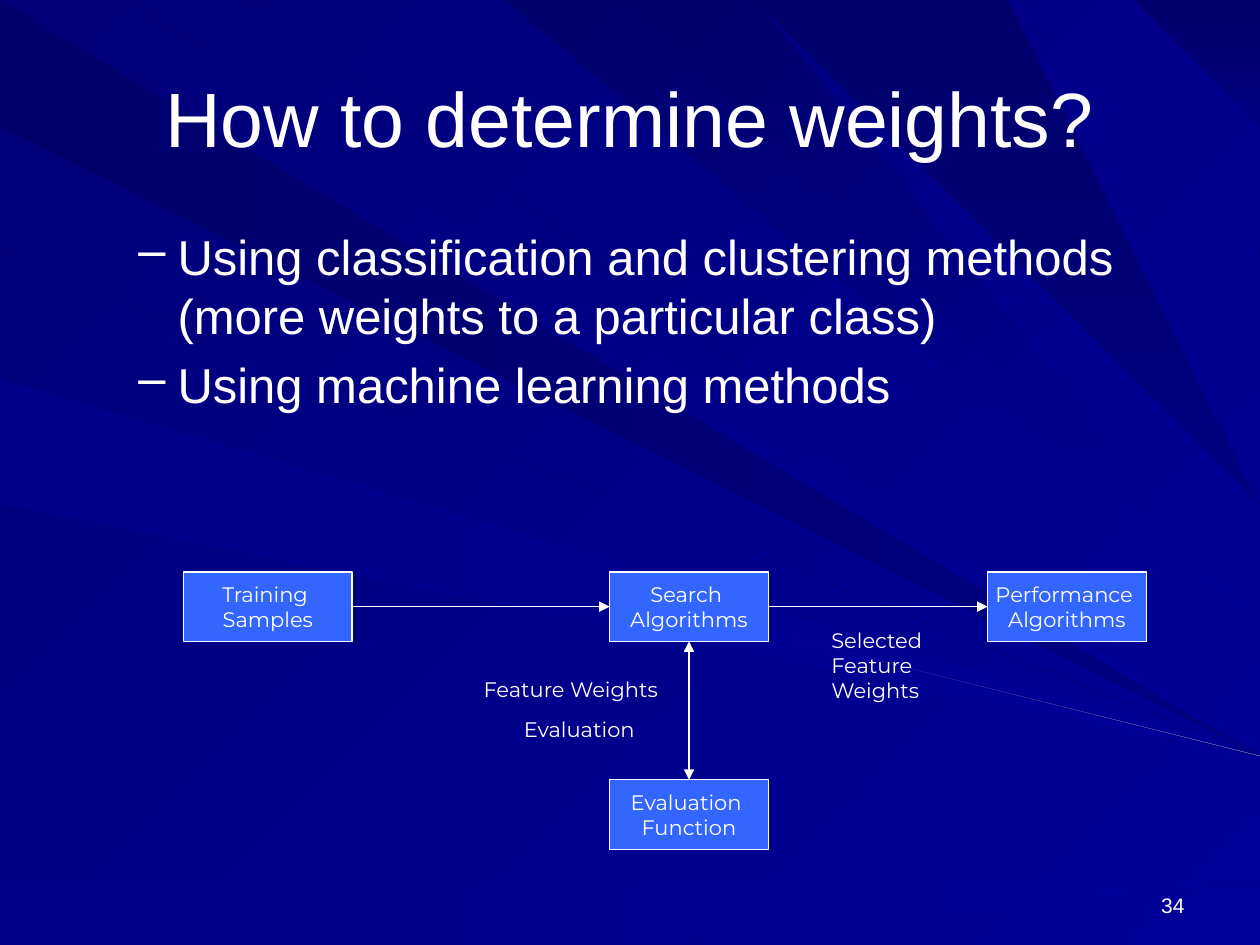
from lxml import etree
from pptx import Presentation
from pptx.dml.color import RGBColor
from pptx.enum import shapes, text
from pptx.oxml import ns
from pptx.util import Cm, Pt

WHITE = RGBColor(0xFF, 0xFF, 0xFF)
BOX = RGBColor(0x33, 0x66, 0xFF)
INK = RGBColor(0x00, 0x00, 0x6C)
DUSK = RGBColor(0x00, 0x00, 0x78)
DEEP = RGBColor(0x00, 0x00, 0x80)
BLUE = RGBColor(0x00, 0x00, 0x88)
NAVY = RGBColor(0x00, 0x00, 0x99)
GLOW = RGBColor(0x5A, 0x5A, 0xA6)

LEFT, MID, RIGHT = text.PP_ALIGN.LEFT, text.PP_ALIGN.CENTER, text.PP_ALIGN.RIGHT
ANCHOR = text.MSO_ANCHOR


def blend(fill, first, last, angle):
    """Fill with a two-colour gradient; the angle runs clockwise."""
    fill.gradient()
    fill.gradient_angle = (360 - angle) % 360
    for stop, color in zip(fill.gradient_stops, (first, last)):
        stop.color.rgb = color


def write(shape, words, size, font, align, **frame):
    """Set the words, the frame values and the look of each paragraph."""
    frame = {"auto_size": text.MSO_AUTO_SIZE.NONE, "word_wrap": True, **frame}
    shape.text_frame.text = words
    for key, value in frame.items():
        setattr(shape.text_frame, key, value)
    for para in shape.text_frame.paragraphs:
        para.alignment = align
        para.font.color.rgb = WHITE
        for key, value in {"size": Pt(size), "name": font}.items():
            setattr(para.font, key, value)


deck = Presentation()
deck.slide_width, deck.slide_height = Cm(25.4), Cm(19.05)
slide = deck.slides.add_slide(deck.slide_layouts[5])
blend(slide.background.fill, DUSK, NAVY, 45)

# Rays: each spans two places on the left or top edge and narrows to a tip
# on the right edge, on a grid of 10 by 7.5 units
beams = [
    ("left", INK, DEEP, 0, [(0, 0.9, 5.7), (6, 6.2, 6.3)]),
    ("top", DUSK, NAVY, 45, [(0.3, 1, 5.6)]),
    ("left", BLUE, NAVY, 0, [(6.6, 7, 6.5), (7.3, 7.5, 6.6)]),
    ("left", DUSK, NAVY, 45, [(2.6, 2.7, 5.9)]),
    ("left", INK, DEEP, 0, [(1.6, 2.3, 5.8)]),
    ("top", INK, NAVY, 45, [(4.3, 4.9, 4.9), (5.4, 5.5, 4.6)]),
    ("top", INK, DEEP, 90, [(6.1, 6.6, 4.5), (8.9, 9.3, 2.1), (9.4, 9.6, 1.4)]),
    ("left", DUSK, NAVY, 45, [(2.8, 3.4, 6), (3.7, 4.4, 6.1)]),
    ("top", INK, NAVY, 45, [(2.2, 2.5, 5.5)]),
    ("top", INK, DEEP, 90, [(6.9, 7.7, 4.1)]),
    ("top", BLUE, NAVY, 45, [(7.8, 7.9, 3.6), (8.1, 8.2, 3.4)]),
    ("left", BLUE, NAVY, 0, [(2.8, 3.5, 6)]),
]
rays = [
    (dark, light, angle, [(0, a) if edge == "left" else (a, 0),
                          (0, b) if edge == "left" else (b, 0), (10, tip)])
    for edge, dark, light, angle, spans in beams for a, b, tip in spans
]
rays.append((NAVY, GLOW, 0, [(6.4, 4.85), (6.3, 5.1), (10, 6.05)]))
group = slide.shapes.add_group_shape()
for dark, light, angle, points in rays:
    pen = group.shapes.build_freeform(*points[0], scale=Cm(2.54))
    pen.add_line_segments(points[1:], close=True)
    ray = pen.convert_to_shape()
    ray.shadow.inherit = False
    ray.line.fill.background()
    blend(ray.fill, dark, light, angle)

# Title, lifted above the rays
title = slide.shapes.title
title.element.getparent().append(title.element)
place = {"left": Cm(1.27), "top": Cm(0.76), "width": Cm(22.86), "height": Cm(3.18)}
for key, value in place.items():
    setattr(title, key, value)
write(title, "How to determine weights?", 44, "Arial", MID, vertical_anchor=ANCHOR.MIDDLE)

# Slide number
number = slide.shapes.add_textbox(Cm(18.2), Cm(17.35), Cm(5.93), Cm(1.27))
write(number, "34", 12, "Arial", RIGHT, vertical_anchor=ANCHOR.BOTTOM)

# Dashed list
body = slide.shapes.add_textbox(Cm(1.27), Cm(4.45), Cm(22.86), Cm(12.57))
write(body, "Using classification and clustering methods (more weights to a particular class)\n"
      "Using machine learning methods", 28, "Arial", LEFT)
for para in body.text_frame.paragraphs:
    para.space_before = Pt(5.6)
    props = para._p.get_or_add_pPr()
    props.set("marL", str(Cm(2.06)))
    props.set("indent", str(Cm(-0.79)))
    dash = etree.Element(ns.qn("a:buChar"), char="–")
    props.find(ns.qn("a:spcBef")).addnext(dash)

# Boxes of the flow chart
high, low, tall = 11.53, 15.72, 1.4
for words, left, top, width in [
    ("Search \nAlgorithms", 12.29, high, 3.2),
    ("Evaluation \nFunction", 12.29, low, 3.2),
    ("Performance \nAlgorithms", 19.91, high, 3.2),
    ("Training \nSamples", 3.7, high, 3.4),
]:
    box = slide.shapes.add_shape(
        shapes.MSO_SHAPE.RECTANGLE, Cm(left), Cm(top), Cm(width), Cm(tall))
    box.shadow.inherit = False
    box.fill.solid()
    box.fill.fore_color.rgb = BOX
    box.line.color.rgb = WHITE
    box.line.width = Pt(0.75)
    write(box, words, 12, "Montserrat", MID, word_wrap=False, vertical_anchor=ANCHOR.MIDDLE)

# Arrows
level = high + tall / 2
for x1, y1, x2, y2, ends in [
    (7.1, level, 12.29, level, ["tailEnd"]),
    (13.89, high + tall, 13.89, low, ["headEnd", "tailEnd"]),
    (15.49, level, 19.91, level, ["tailEnd"]),
]:
    arrow = slide.shapes.add_connector(
        shapes.MSO_CONNECTOR.STRAIGHT, Cm(x1), Cm(y1), Cm(x2), Cm(y2))
    arrow.line.color.rgb = WHITE
    arrow.line.width = Pt(0.75)
    props = arrow.element.spPr
    for end in ends:
        etree.SubElement(props.find(ns.qn("a:ln")), ns.qn("a:" + end), type="triangle")
    etree.SubElement(props, ns.qn("a:effectLst"))

# Labels beside the arrows
for words, left, top, width, height in [
    ("Evaluation", 10.31, 14.33, 2.95, 0.76),
    ("Feature Weights", 9.5, 13.51, 4.29, 0.76),
    ("Selected\nFeature\nWeights", 16.51, 12.52, 2.57, 1.78),
]:
    label = slide.shapes.add_textbox(Cm(left), Cm(top), Cm(width), Cm(height))
    write(label, words, 12, "Montserrat", LEFT, word_wrap=False,
          auto_size=text.MSO_AUTO_SIZE.SHAPE_TO_FIT_TEXT)

deck.save("out.pptx")
